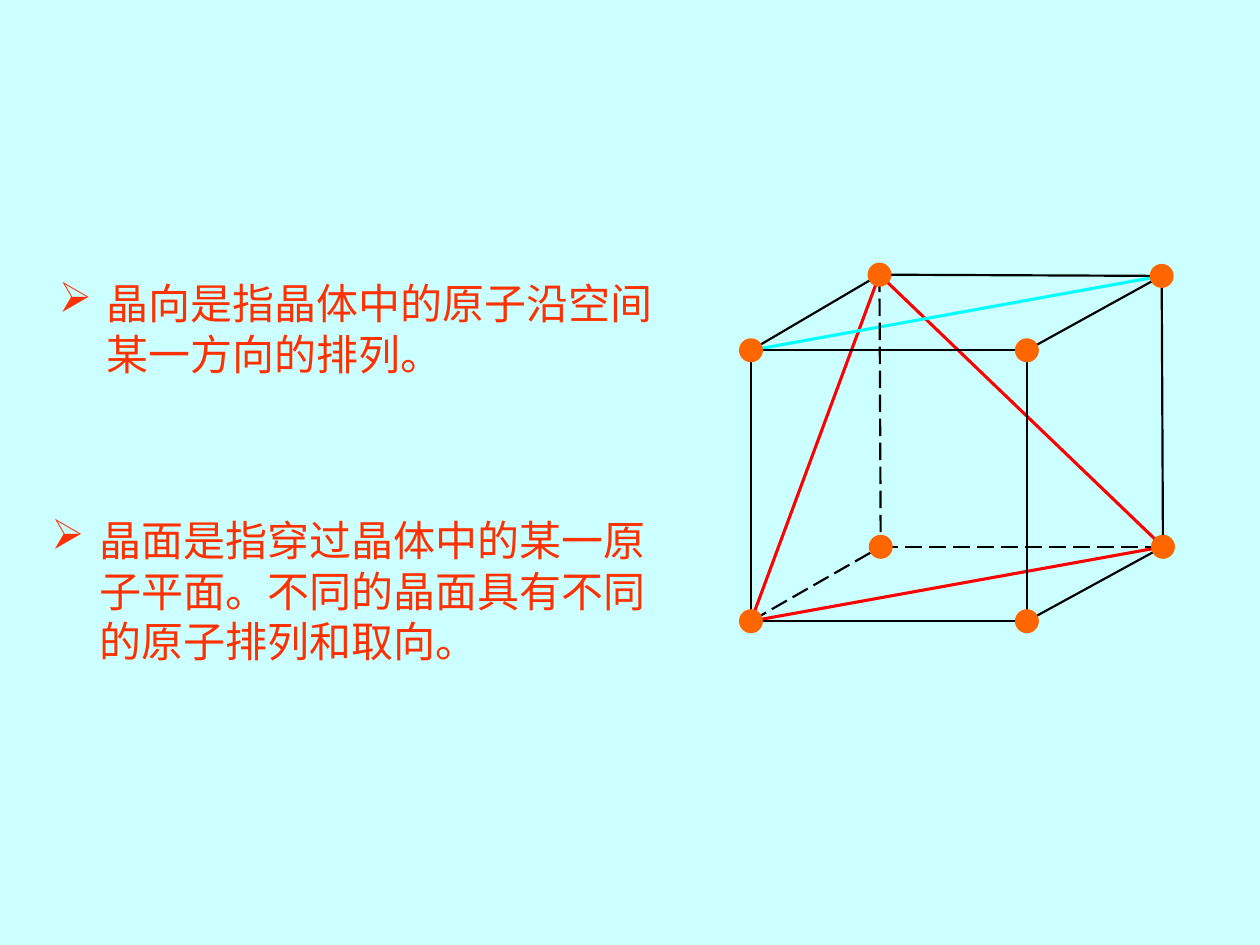
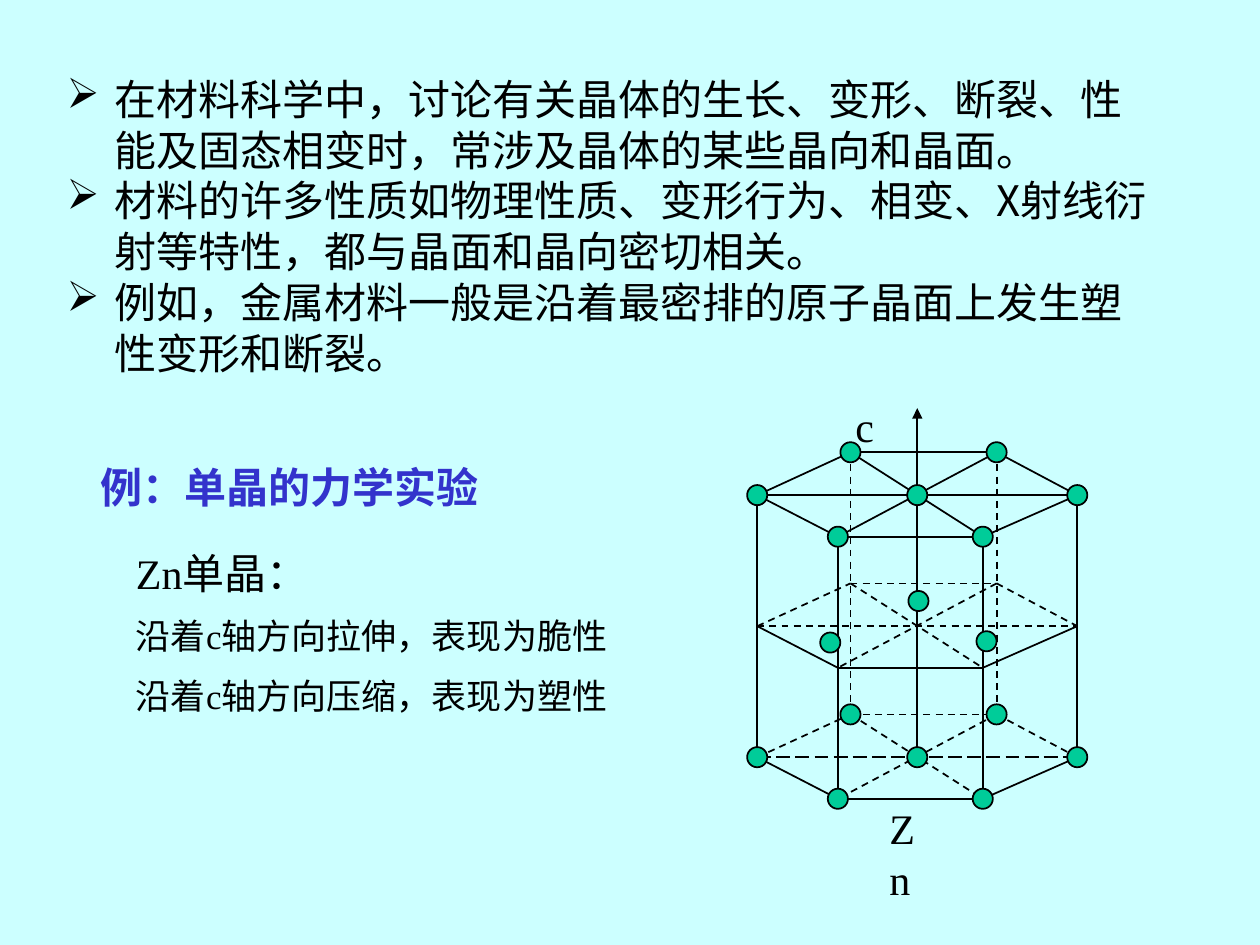
from dataclasses import dataclass

from lxml import etree
from pptx import Presentation
from pptx.dml.color import RGBColor
from pptx.enum.dml import MSO_LINE_DASH_STYLE as Dash
from pptx.enum.shapes import MSO_CONNECTOR, MSO_SHAPE
from pptx.enum.text import MSO_AUTO_SIZE
from pptx.oxml.ns import qn
from pptx.util import Inches, Pt


@dataclass(frozen=True)
class Theme:
    background: str = "CCFFFF"
    ink: str = "000000"
    definition: str = "FF3100"
    heading: str = "3333CC"
    cube_atom: str = "FF6600"
    zinc_atom: str = "00CC99"
    plane: str = "FF0000"
    direction: str = "00FFFF"
    sans: str = "Noto Sans CJK SC"
    serif: str = "Times New Roman"
    body: int = 24
    detail: int = 20


THEME = Theme()

CUBE = {
    "front top left": (5.96, 2.78), "front top right": (8.15, 2.78),
    "back top left": (6.98, 2.18), "back top right": (9.22, 2.19),
    "front bottom left": (5.96, 4.93), "front bottom right": (8.15, 4.93),
    "back bottom left": (6.99, 4.34), "back bottom right": (9.23, 4.34),
}
HIDDEN_CORNER = "back bottom left"

HEXAGON = {
    "left": (6.01, 3.93), "back left": (6.75, 3.59),
    "back right": (7.91, 3.59), "right": (8.55, 3.93),
    "front right": (7.8, 4.26), "front left": (6.65, 4.26),
}
CENTRE = (7.28, 3.93)
LAYER_PITCH = 1.04
INNER_ATOMS = [(6.59, 5.1), (7.83, 5.09), (7.29, 4.77)]


def rgb(colour):
    return RGBColor.from_string(colour)


def lower(point, layers):
    return point[0], point[1] + layers * LAYER_PITCH


def add_page(deck):
    slide = deck.slides.add_slide(deck.slide_layouts[6])
    slide.background.fill.solid()
    slide.background.fill.fore_color.rgb = rgb(THEME.background)
    return slide


def add_line(slide, start, end, colour=THEME.ink, width=1, dash=None, arrow=False):
    line = slide.shapes.add_connector(
        MSO_CONNECTOR.STRAIGHT, *(Inches(v) for v in (*start, *end)))
    line.line.color.rgb = rgb(colour)
    line.line.width = Pt(width)
    if dash:
        line.line.dash_style = dash
    if arrow:
        etree.SubElement(line.line._get_or_add_ln(), qn("a:tailEnd"), type="triangle")
    etree.SubElement(line._element.spPr, qn("a:effectLst"))


def add_atom(slide, centre, size, fill, outline, width):
    x, y = centre
    atom = slide.shapes.add_shape(
        MSO_SHAPE.OVAL, Inches(x - size / 2), Inches(y - size / 2),
        Inches(size), Inches(size))
    atom.shadow.inherit = False
    atom.fill.solid()
    atom.fill.fore_color.rgb = rgb(fill)
    atom.line.color.rgb = rgb(outline)
    atom.line.width = Pt(width)


def add_text(slide, paragraphs, box, sizes=None, font=THEME.serif,
             colour=THEME.ink, bold=False, bullet=None, gap=0):
    frame = slide.shapes.add_textbox(*(Inches(v) for v in box)).text_frame
    frame.word_wrap = True
    frame.auto_size = MSO_AUTO_SIZE.SHAPE_TO_FIT_TEXT
    sizes = sizes or [THEME.body] * len(paragraphs)
    for index, (words, size) in enumerate(zip(paragraphs, sizes)):
        paragraph = frame.add_paragraph() if index else frame.paragraphs[0]
        paragraph.line_spacing = Pt(round(size * 1.21))
        if index and gap:
            paragraph.space_before = Pt(gap)
        if bullet:
            properties = paragraph._p.get_or_add_pPr()
            properties.set("marL", str(Inches(0.38)))
            properties.set("indent", str(-Inches(0.38)))
            etree.SubElement(properties, qn("a:buChar"), char=bullet)
        run = paragraph.add_run()
        run.text = words
        run.font.size = Pt(size)
        run.font.bold = bold
        run.font.name = font
        run.font.color.rgb = rgb(colour)
        etree.SubElement(run._r.get_or_add_rPr(), qn("a:ea"), typeface=THEME.sans)


def add_bullets(slide, paragraphs, box, colour=THEME.ink):
    add_text(slide, paragraphs, box, font=THEME.sans, colour=colour, bullet="➢")


def draw_cube(slide):
    plane = [CUBE[name] for name in
             ("back top left", "back bottom right", "front bottom left")]
    for start, end in zip(plane, plane[1:] + plane[:1]):
        add_line(slide, start, end, THEME.plane, 1.75)
    add_line(slide, CUBE["front top left"], CUBE["back top right"],
             THEME.direction, 1.75)

    names = list(CUBE)
    for index, first in enumerate(names):
        for second in names[index + 1:]:
            differing = sum(a != b for a, b in zip(first.split(), second.split()))
            if differing == 1:
                hidden = HIDDEN_CORNER in (first, second)
                add_line(slide, CUBE[first], CUBE[second], width=1.25,
                         dash=Dash.LONG_DASH if hidden else None)
    for corner in CUBE.values():
        add_atom(slide, corner, 0.18, THEME.cube_atom, THEME.cube_atom, 0.75)


def draw_layer(slide, level):
    hidden = Dash.DASH if level else None
    names = list(HEXAGON)
    for first, second in zip(names, names[1:] + names[:1]):
        in_front = "front" in first or "front" in second
        add_line(slide, lower(HEXAGON[first], level), lower(HEXAGON[second], level),
                 dash=None if in_front else hidden)
    for first, second in zip(names[:3], names[3:]):
        long_axis = level == 2 and first == "left"
        add_line(slide, lower(HEXAGON[first], level), lower(HEXAGON[second], level),
                 dash=Dash.LONG_DASH if long_axis else hidden)


def draw_zinc_cell(slide):
    for level in range(3):
        draw_layer(slide, level)
    for name, corner in HEXAGON.items():
        add_line(slide, corner, lower(corner, 2),
                 dash=Dash.DASH if "back" in name else None)
    add_line(slide, lower(CENTRE, 2), (7.28, 3.24), arrow=True)
    sites = [*HEXAGON.values(), CENTRE]
    for site in sites + [lower(site, 2) for site in sites] + INNER_ATOMS:
        add_atom(slide, site, 0.16, THEME.zinc_atom, THEME.ink, 1)
    add_text(slide, ["c"], (6.69, 3.13, 0.56, 0.5))
    add_text(slide, ["Zn"], (6.96, 6.32, 0.56, 0.5))


def build_definitions(deck):
    slide = add_page(deck)
    draw_cube(slide)
    add_bullets(slide, ["晶面是指穿过晶体中的某一原子平面。不同的晶面具有不同的原子排列和取向。"],
                (0.31, 4.03, 5, 1.31), THEME.definition)
    add_bullets(slide, ["晶向是指晶体中的原子沿空间某一方向的排列。"],
                (0.37, 2.15, 5, 0.91), THEME.definition)


def build_zinc_example(deck):
    slide = add_page(deck)
    add_text(slide, ["例：单晶的力学实验"], (0.7, 3.61, 3.77, 0.5),
             colour=THEME.heading, bold=True)
    draw_zinc_cell(slide)
    add_text(slide, ["Zn单晶：", "沿着c轴方向拉伸，表现为脆性", "沿着c轴方向压缩，表现为塑性"],
             (0.98, 4.29, 4.09, 1.5),
             sizes=[THEME.body, THEME.detail, THEME.detail], gap=10)
    add_bullets(slide, [
        "在材料科学中，讨论有关晶体的生长、变形、断裂、性能及固态相变时，常涉及晶体的某些晶向和晶面。",
        "材料的许多性质如物理性质、变形行为、相变、X射线衍射等特性，都与晶面和晶向密切相关。",
        "例如，金属材料一般是沿着最密排的原子晶面上发生塑性变形和断裂。",
    ], (0.43, 0.53, 8.85, 2.52))


def main():
    deck = Presentation()
    deck.slide_width = Inches(10)
    deck.slide_height = Inches(7.5)
    build_definitions(deck)
    build_zinc_example(deck)
    deck.save("out.pptx")


if __name__ == "__main__":
    main()
